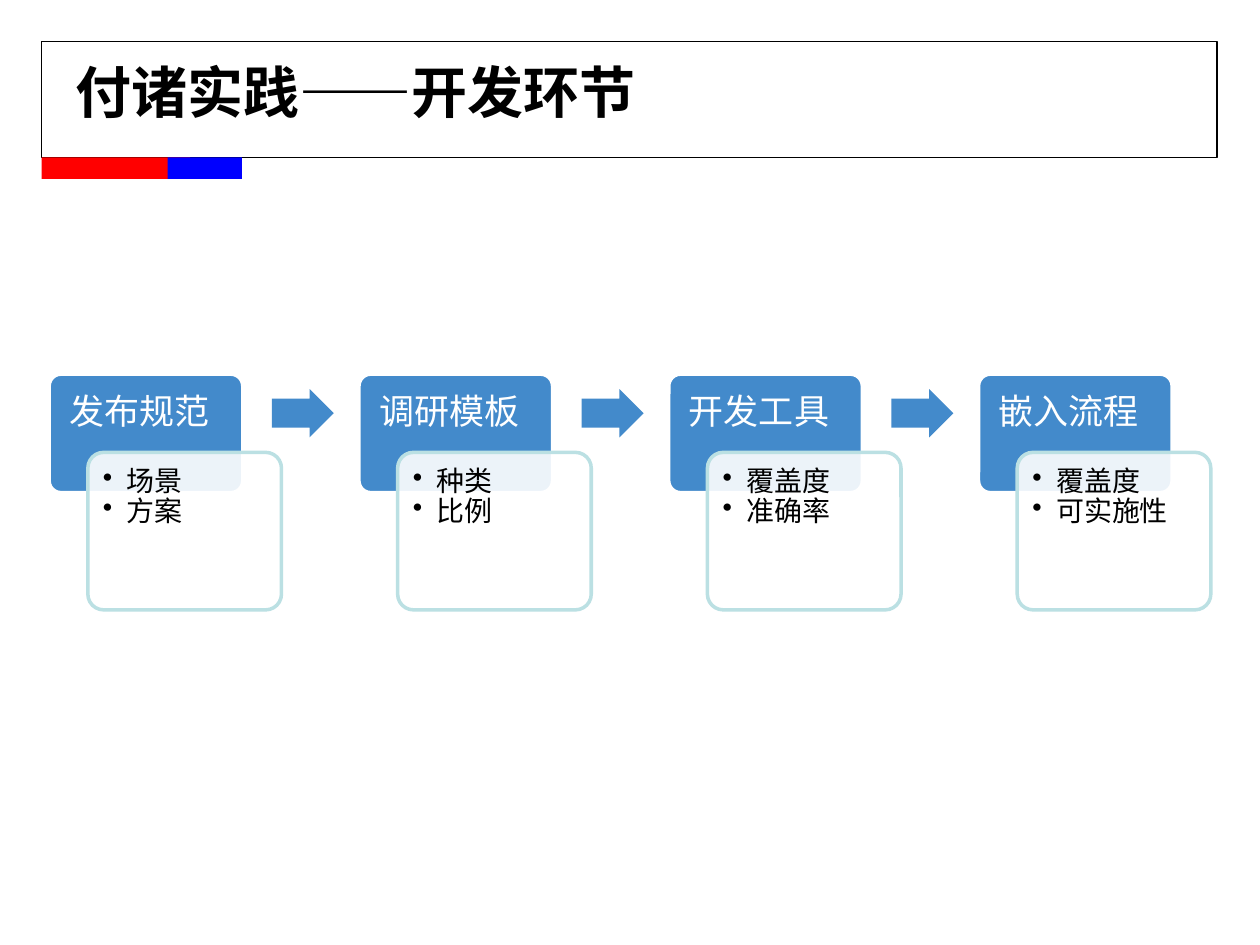
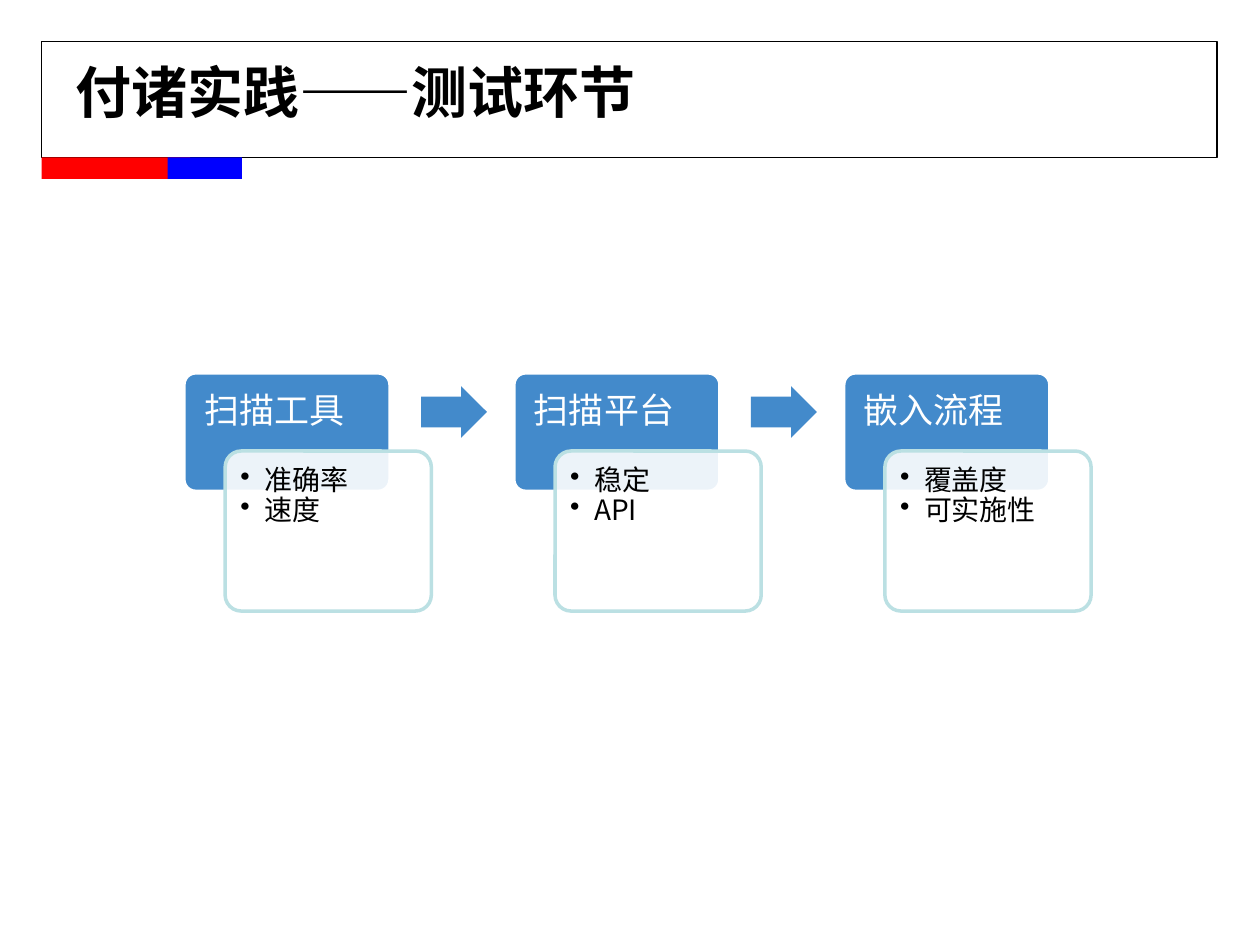
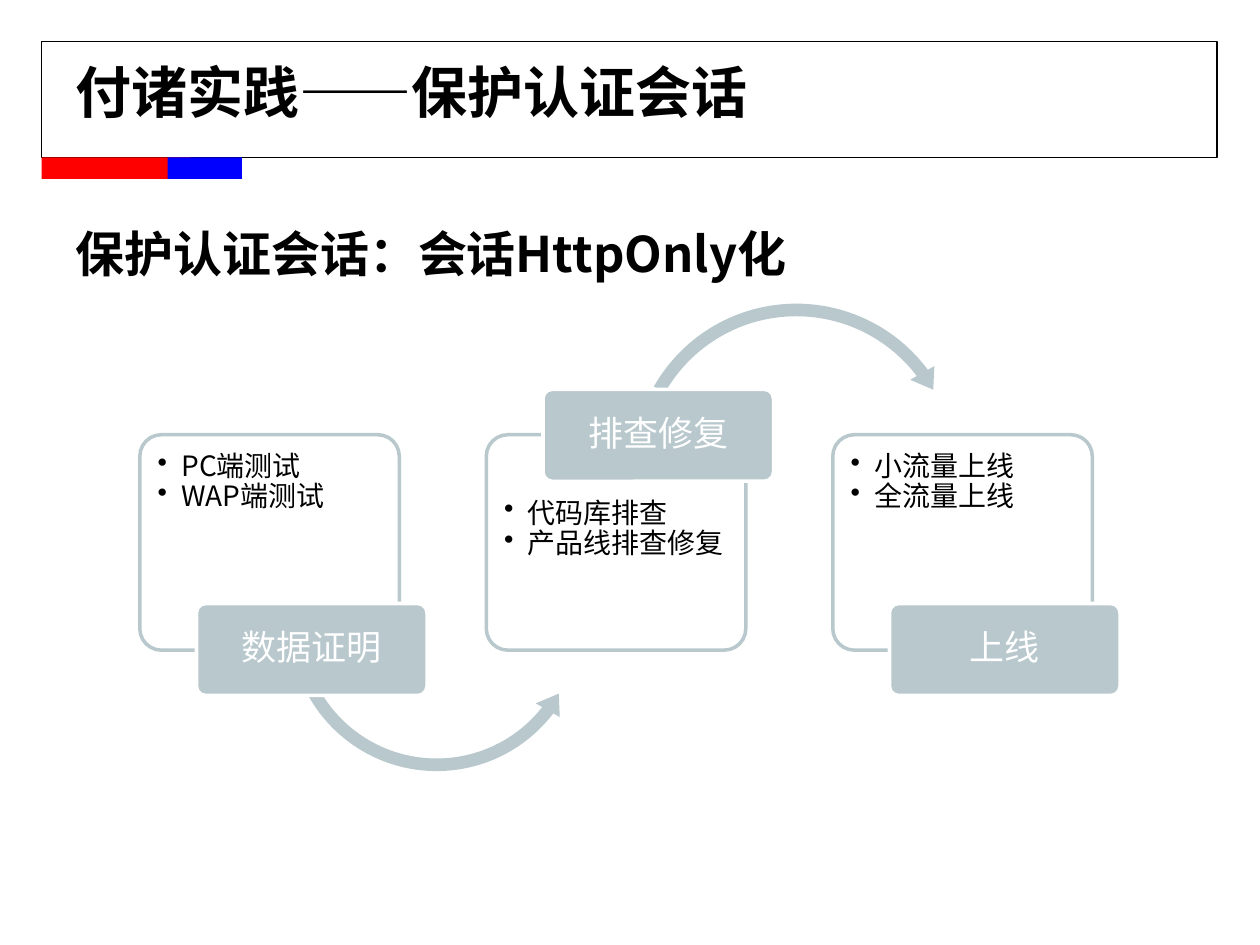
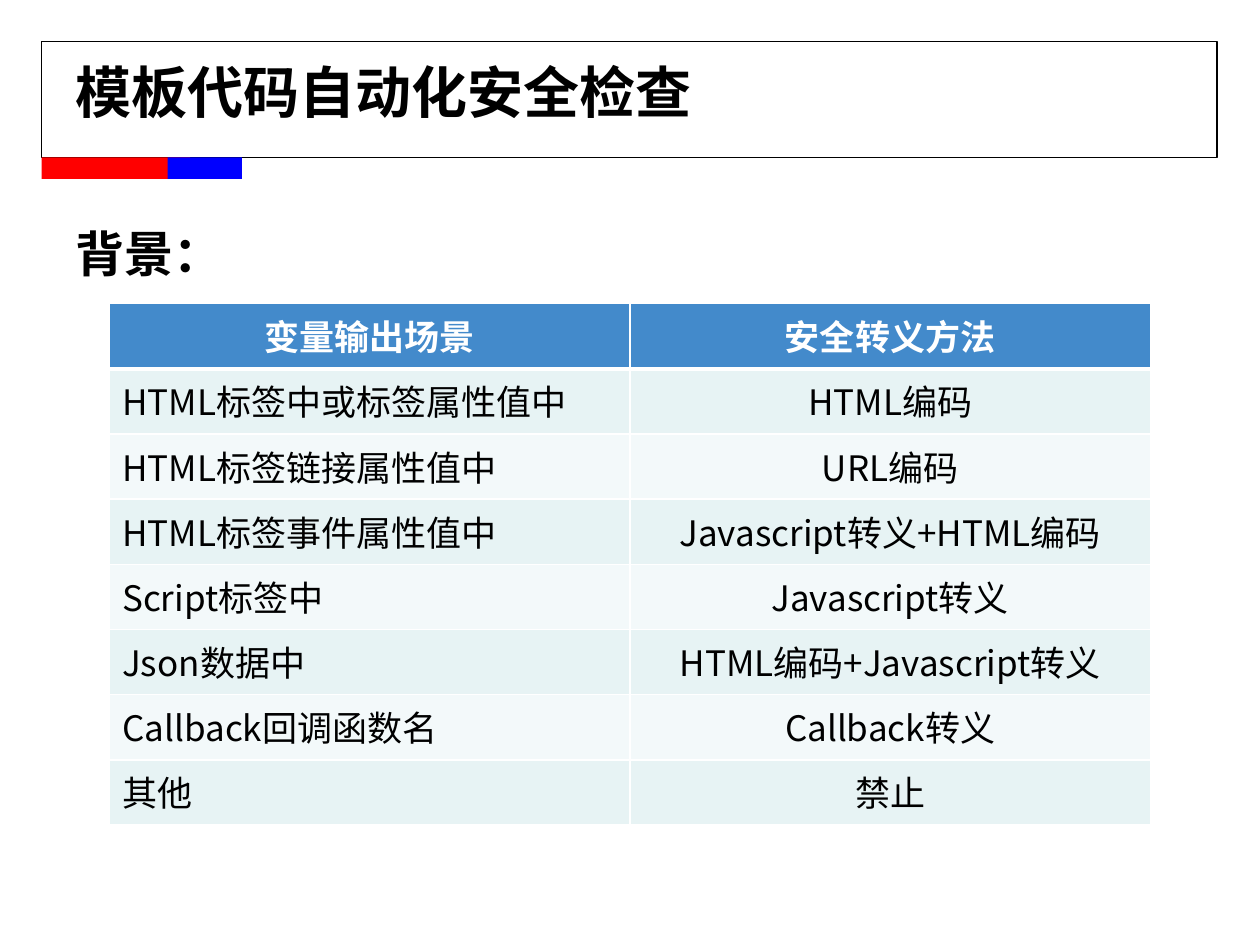
from pptx import Presentation
from pptx.dml.color import RGBColor
from pptx.enum.shapes import MSO_SHAPE as Shape
from pptx.enum.text import MSO_ANCHOR as Anchor, MSO_AUTO_SIZE as AutoSize, PP_ALIGN as Align
from pptx.oxml.ns import qn
from pptx.util import Inches, Pt
from lxml.etree import SubElement

FONT = "Noto Sans CJK SC"
BLACK, WHITE, RED, PURE_BLUE = "000000", "FFFFFF", "FF0000", "0000FF"
BLUE, AQUA, GREY = "438ACB", "BBE0E3", "B8C8CD"
BAND_DARK, BAND_LIGHT = "E7F3F4", "F3F9FA"
TITLE_ONLY, TITLE_AND_BODY = 5, 1
CORNER = 0.1


def rgb(color):
    return RGBColor.from_string(color)


# --- shared helpers ---
def style(paragraph, size, color, bold=False, align=Align.LEFT):
    paragraph.alignment = align
    font = paragraph.font
    font.name, font.size, font.bold = FONT, Pt(size), bold
    font.color.rgb = rgb(color)
    # East Asian characters take their own font entry
    SubElement(paragraph._p.pPr.find(qn("a:defRPr")), qn("a:ea")).set("typeface", FONT)


def set_bullet(paragraph, indent, character=None):
    """Hanging indent with the given bullet, or with none."""
    properties = paragraph._p.get_or_add_pPr()
    properties.set("marL", str(Inches(indent)))
    properties.set("indent", str(-Inches(indent)))
    bullet = SubElement(properties, qn("a:buChar" if character else "a:buNone"))
    if character:
        bullet.set("char", character)
    properties.insert_element_before(bullet, "a:tabLst", "a:defRPr", "a:extLst")


def add_shape(slide, kind, box, fill=None, line=None, width=2, opacity=None):
    shape = slide.shapes.add_shape(kind, *map(Inches, box))
    shape.shadow.inherit = False
    if fill:
        shape.fill.solid()
        shape.fill.fore_color.rgb = rgb(fill)
    else:
        shape.fill.background()
    if line:
        shape.line.color.rgb = rgb(line)
        shape.line.width = Pt(width)
    else:
        shape.line.fill.background()
    if opacity:
        color = shape._element.spPr.find(qn("a:solidFill"))[0]
        SubElement(color, qn("a:alpha")).set("val", str(opacity * 1000))
    return shape


def add_block(slide, box, fill, line, opacity=None):
    block = add_shape(slide, Shape.ROUNDED_RECTANGLE, box, fill, line, opacity=opacity)
    block.adjustments[0] = CORNER
    return block


def set_margins(block, box, left, top, right, bottom):
    """Margins from the outline; the round corner already takes a part."""
    corner = 0.29 * CORNER * min(box[2:])
    frame = block.text_frame
    frame.margin_left, frame.margin_top, frame.margin_right, frame.margin_bottom = (
        Inches(max(margin - corner, 0)) for margin in (left, top, right, bottom))


def add_label(slide, box, text, fill, margins, anchor, align):
    block = add_block(slide, box, fill, WHITE)
    set_margins(block, box, *margins)
    block.text_frame.vertical_anchor = anchor
    paragraph = block.text_frame.paragraphs[0]
    paragraph.text = text
    paragraph.line_spacing = 0.9
    style(paragraph, 20, WHITE, align=align)


def add_card(slide, box, items, line, margin, extra_top=0):
    card = add_block(slide, box, WHITE, line, opacity=90)
    set_margins(card, box, margin, margin + extra_top, margin, margin)
    frame = card.text_frame
    frame.vertical_anchor = Anchor.TOP
    frame.text = "\n".join(items)
    for paragraph in frame.paragraphs:
        paragraph.line_spacing = 0.9
        style(paragraph, 16, BLACK)
        set_bullet(paragraph, 0.19, "•")


# --- frame and bands, kept on the master ---
def add_master_bands(presentation, slide):
    bands = [
        add_shape(slide, Shape.RECTANGLE, (0.33, 0.33, 9.33, 0.92), line=BLACK, width=0.75),
        add_shape(slide, Shape.RECTANGLE, (0.33, 1.25, 1.18, 0.17), RED),
        add_shape(slide, Shape.RECTANGLE, (1.33, 1.25, 0.59, 0.17), PURE_BLUE),
    ]
    tree = presentation.slide_master.shapes.element
    for index, band in enumerate(bands):
        band._element.nvSpPr.cNvPr.set("id", str(100 + index))
        tree.insert(2 + index, band._element)


# --- title and heading placeholders ---
def fill_placeholder(placeholder, box, text, size, anchor):
    placeholder.left, placeholder.top, placeholder.width, placeholder.height = map(Inches, box)
    frame = placeholder.text_frame
    frame.text = text
    frame.auto_size = AutoSize.NONE
    frame.vertical_anchor = anchor
    style(frame.paragraphs[0], size, BLACK, bold=True)


def add_slide(presentation, title, heading=None):
    layout = TITLE_AND_BODY if heading else TITLE_ONLY
    slide = presentation.slides.add_slide(presentation.slide_layouts[layout])
    fill_placeholder(slide.shapes.title, (0.5, 0.42, 9, 0.61), title, 32, Anchor.MIDDLE)
    if heading:
        body = slide.placeholders[1]
        fill_placeholder(body, (0.5, 1.72, 9, 4.95), heading, 28, Anchor.TOP)
        set_bullet(body.text_frame.paragraphs[0], 0.38)
    return slide


# --- row of stages joined by arrows ---
def add_stages(slide, box, stages):
    left, top, width, height = box
    stage_width = width / (1.6 * (len(stages) - 1) + 1.2)
    drop = 0.62
    for index, (name, items) in enumerate(stages):
        x = left + 1.6 * stage_width * index
        add_label(slide, (x, top, stage_width, 0.94), name, BLUE,
                  (0.16, 0.16, 0.16, 0.08), Anchor.TOP, Align.LEFT)
        add_card(slide, (x + 0.2 * stage_width, top + drop, stage_width, height - drop),
                 items, AQUA, 0.12)
        if index < len(stages) - 1:
            arrow_height = 0.25 * stage_width
            arrow = add_shape(slide, Shape.RIGHT_ARROW,
                              (x + 1.15 * stage_width, top + 0.31 - arrow_height / 2,
                               0.32 * stage_width, arrow_height), BLUE)
            arrow.adjustments[0], arrow.adjustments[1] = 0.6, 0.5


# --- cards with labels alternately below and above ---
def add_curved_arrow(slide, kind, box, head_angle, end, start):
    arrow = add_shape(slide, kind, box, GREY)
    size = box[2]
    for index, value in enumerate((0.1 / size, head_angle, end, start, 0.11 / size)):
        arrow.adjustments[index] = value


def add_alternating_process(slide, box, steps):
    left, top, width, height = box
    card_width, label_width, label_height = 2.06, 1.83, 0.73
    overhang = 0.36
    label_shift = 0.45
    pitch = (width - label_shift - label_width) / (len(steps) - 1)
    card_height = height - 2 * overhang
    arrows = [
        (Shape.LEFT_CIRCULAR_ARROW, (left + 1.13, top + 0.64, 2.45, 2.45), 4.88, 22.63, 90.24),
        (Shape.CIRCULAR_ARROW, (left + 3.85, top - 0.74, 2.72, 2.72), 4.37, 193.88, 125.76),
    ]
    for index, (name, items) in enumerate(steps):
        x = left + pitch * index
        above = index % 2 == 1
        add_card(slide, (x, top + overhang, card_width, card_height), items, GREY, 0.14,
                 label_height - overhang if above else 0)
        if index < len(arrows):
            add_curved_arrow(slide, *arrows[index])
        label_top = top if above else top + height - label_height
        add_label(slide, (x + label_shift, label_top, label_width, label_height), name, GREY,
                  (0.04, 0.03, 0.04, 0.03), Anchor.MIDDLE, Align.CENTER)


# --- table ---
def set_borders(cell, bottom_width):
    properties = cell._tc.get_or_add_tcPr()
    widths = {"a:lnL": 1, "a:lnR": 1, "a:lnT": 1, "a:lnB": bottom_width}
    for index, (tag, width) in enumerate(widths.items()):
        border = SubElement(properties, qn(tag))
        border.set("w", str(Pt(width)))
        fill = SubElement(border, qn("a:solidFill"))
        SubElement(fill, qn("a:srgbClr")).set("val", WHITE)
        properties.insert(index, border)


def add_escape_table(slide, box, rows):
    table = slide.shapes.add_table(len(rows), len(rows[0]), *map(Inches, box)).table
    for row_index, row in enumerate(rows):
        header = row_index == 0
        band = BLUE if header else (BAND_DARK if row_index % 2 else BAND_LIGHT)
        for column_index, text in enumerate(row):
            cell = table.cell(row_index, column_index)
            cell.text = text
            cell.fill.solid()
            cell.fill.fore_color.rgb = rgb(band)
            centred = header or column_index == 1
            style(cell.text_frame.paragraphs[0], 20, WHITE if header else BLACK, header,
                  Align.CENTER if centred else Align.LEFT)
            set_borders(cell, 3 if header else 1)


presentation = Presentation()
presentation.slide_width, presentation.slide_height = Inches(10), Inches(7.5)

# Slide 1: development
slide = add_slide(presentation, "付诸实践——开发环节")
add_master_bands(presentation, slide)
add_stages(slide, (0.39, 2.97, 9.22, 1.87), [
    ("发布规范", ["场景", "方案"]),
    ("调研模板", ["种类", "比例"]),
    ("开发工具", ["覆盖度", "准确率"]),
    ("嵌入流程", ["覆盖度", "可实施性"]),
])

# Slide 2: testing
slide = add_slide(presentation, "付诸实践——测试环节")
add_stages(slide, (1.46, 2.96, 7.2, 1.89), [
    ("扫描工具", ["准确率", "速度"]),
    ("扫描平台", ["稳定", "API"]),
    ("嵌入流程", ["覆盖度", "可实施性"]),
])

# Slide 3: session protection
slide = add_slide(presentation, "付诸实践——保护认证会话", "保护认证会话：会话HttpOnly化")
add_alternating_process(slide, (1.11, 3.09, 7.78, 2.43), [
    ("数据证明", ["PC端测试", "WAP端测试"]),
    ("排查修复", ["代码库排查", "产品线排查修复"]),
    ("上线", ["小流量上线", "全流量上线"]),
])

# Slide 4: escaping methods
slide = add_slide(presentation, "模板代码自动化安全检查", "背景：")
add_escape_table(slide, (0.87, 2.41, 8.26, 4.14), [
    ("变量输出场景", "安全转义方法"),
    ("HTML标签中或标签属性值中", "HTML编码"),
    ("HTML标签链接属性值中", "URL编码"),
    ("HTML标签事件属性值中", "Javascript转义+HTML编码"),
    ("Script标签中", "Javascript转义"),
    ("Json数据中", "HTML编码+Javascript转义"),
    ("Callback回调函数名", "Callback转义"),
    ("其他", "禁止"),
])

presentation.save("out.pptx")
